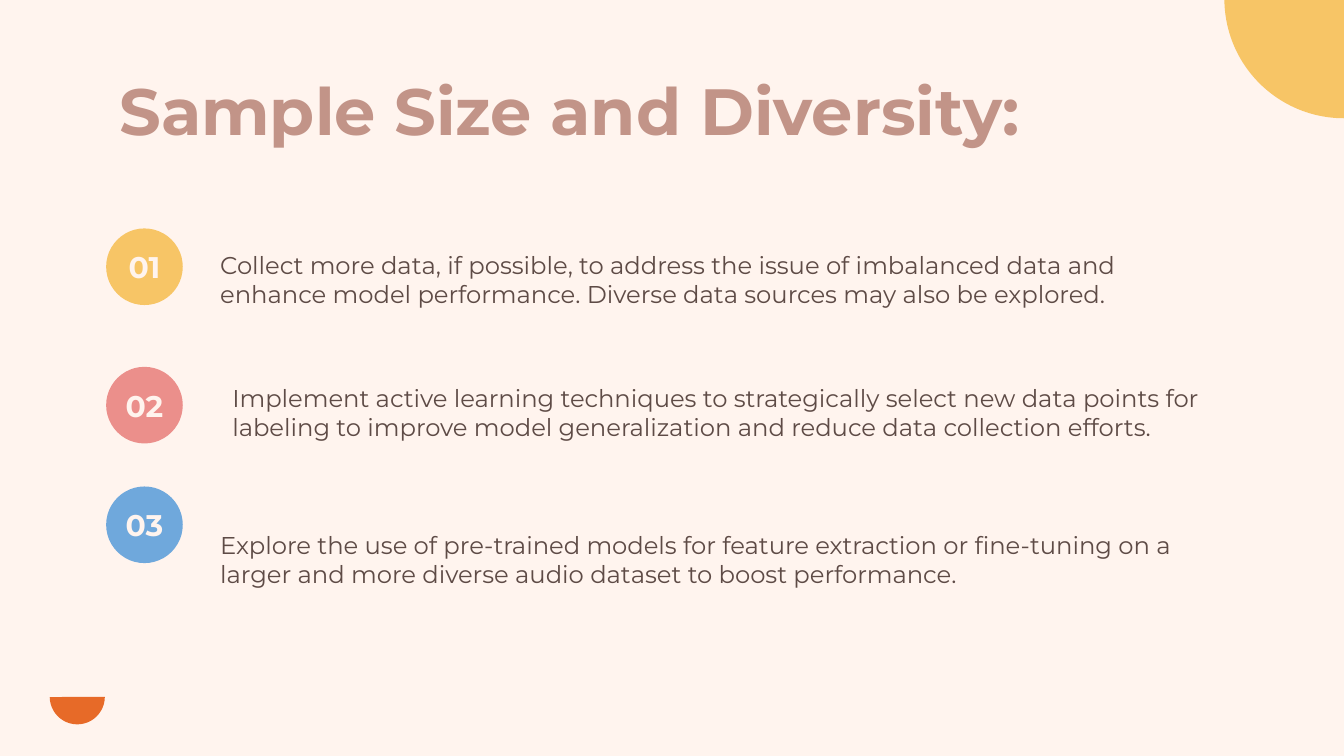
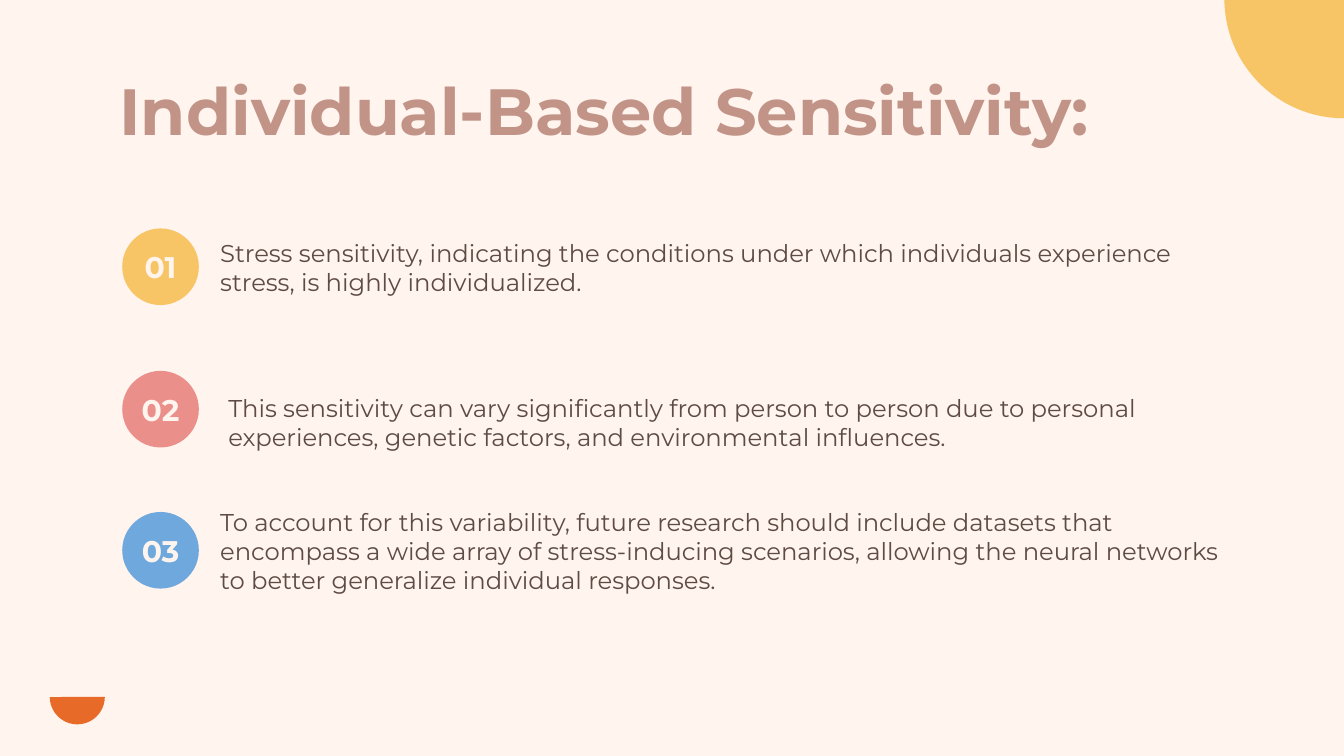
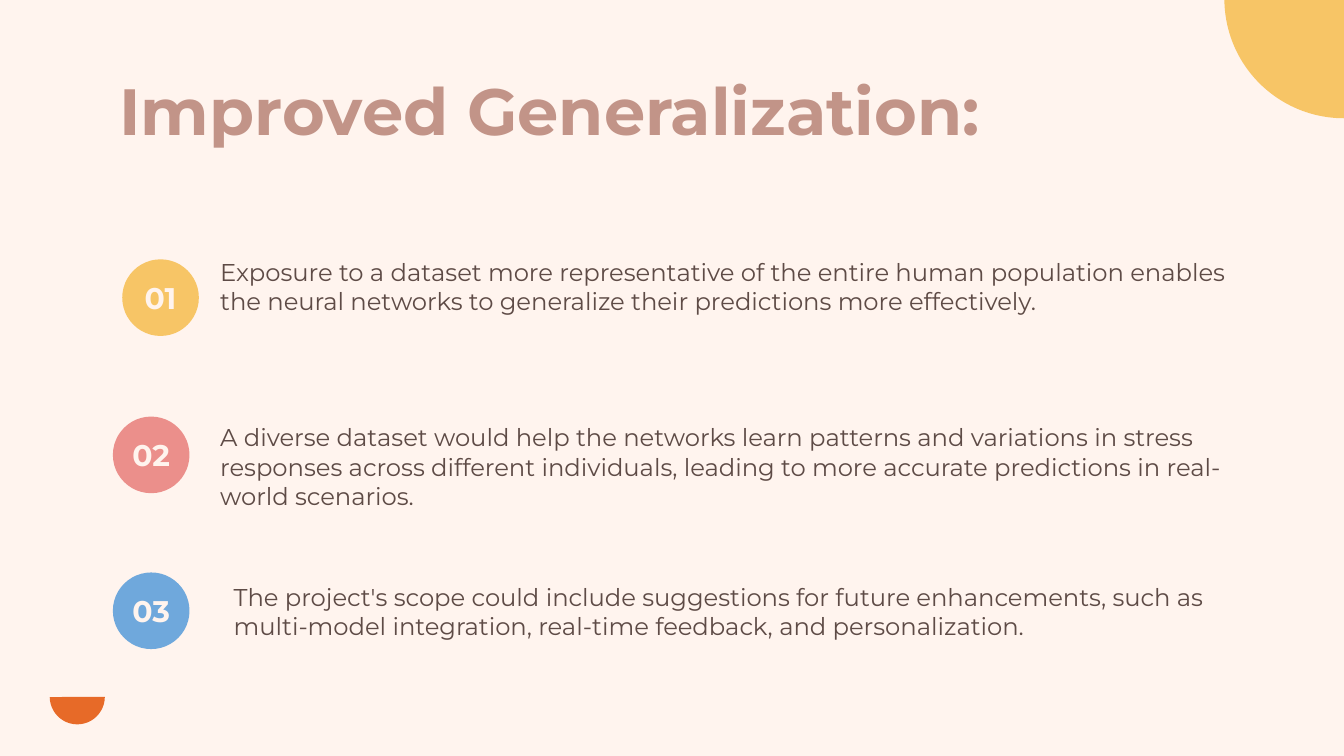
from pptx import Presentation
from pptx.dml.color import RGBColor
from pptx.enum.shapes import MSO_SHAPE
from pptx.enum.text import MSO_ANCHOR, PP_ALIGN
from pptx.util import Inches, Pt

PIE, CIRCLE = MSO_SHAPE.CHORD and MSO_SHAPE.PIE, MSO_SHAPE.OVAL
TOP, MIDDLE = MSO_ANCHOR.TOP, MSO_ANCHOR.MIDDLE
LEFT, CENTER = PP_ALIGN.LEFT, PP_ALIGN.CENTER

COLORS = {
    "background": "FFF4EE",
    "title": "C29488",
    "body": "5E4B46",
    "yellow": "F7C566",
    "pink": "EB8F8B",
    "blue": "6FA8DC",
    "orange": "E76A28",
}
FONT = "Montserrat"
BADGE_COLORS = ["yellow", "pink", "blue"]
TEXT_ROWS = [8.6, 10.8, 10.8]
TEXT_COLUMNS = 76.8
BADGE_SIZE = 5.7
QUARTER_TURN = 54

CORNERS = [
    ("yellow", 91.1, -9, 17.8, QUARTER_TURN, 2 * QUARTER_TURN),
    ("orange", 3.7, 49.8, 4.1, 0, 107.55),
]

# badge column, badge row, text column, text row, text
SLIDES = [
    ("Sample Size and Diversity:", [
        (7.9, 17, 15.4, 16.5, "Collect more data, if possible, to address the issue of imbalanced data and enhance model performance. Diverse data sources may also be explored."),
        (7.9, 27.3, 16.3, 25.3, "Implement active learning techniques to strategically select new data points for labeling to improve model generalization and reduce data collection efforts."),
        (7.9, 36.2, 15.4, 36.2, "Explore the use of pre-trained models for feature extraction or fine-tuning on a larger and more diverse audio dataset to boost performance."),
    ]),
    ("Individual-Based Sensitivity:", [
        (9.1, 17, 15.4, 15.6, "Stress sensitivity, indicating the conditions under which individuals experience stress, is highly individualized."),
        (9.1, 27.6, 16, 26, "This sensitivity can vary significantly from person to person due to personal experiences, genetic factors, and environmental influences."),
        (9.1, 38.1, 15.4, 35.6, "To account for this variability, future research should include datasets that encompass a wide array of stress-inducing scenarios, allowing the neural networks to better generalize individual responses."),
    ]),
    ("Improved Generalization:", [
        (9.1, 19.3, 15.4, 17, "Exposure to a dataset more representative of the entire human population enables the neural networks to generalize their predictions more effectively."),
        (8.4, 31, 15.4, 29.3, "A diverse dataset would help the networks learn patterns and variations in stress responses across different individuals, leading to more accurate predictions in real-world scenarios."),
        (8.4, 42.6, 16.4, 40.1, "The project's scope could include suggestions for future enhancements, such as multi-model integration, real-time feedback, and personalization."),
    ]),
]

deck = Presentation()
deck.slide_width = Inches(10)
deck.slide_height = deck.slide_width * 9 // 16
CELL = deck.slide_width // 100
blank = deck.slide_layouts[6]


def write(box, text, size, color, bold=False, align=LEFT, anchor=MIDDLE, inset=1, spacing=1.0):
    frame = box.text_frame
    frame.word_wrap = True
    frame.vertical_anchor = anchor
    frame.margin_left = frame.margin_right = int(inset * CELL)
    frame.margin_top = frame.margin_bottom = int(inset * CELL)
    para = frame.paragraphs[0]
    para.alignment = align
    para.line_spacing = spacing
    span = para.add_run()
    span.text = text
    span.font.name = FONT
    span.font.size = Pt(size)
    span.font.bold = bold
    span.font.color.rgb = RGBColor.from_string(COLORS[color])


def add_round(page, kind, color, column, row, size):
    shape = page.shapes.add_shape(kind, *(int(cells * CELL) for cells in (column, row, size, size)))
    shape.shadow.inherit = False
    shape.fill.solid()
    shape.fill.fore_color.rgb = RGBColor.from_string(COLORS[color])
    shape.line.fill.background()
    return shape


for title, points in SLIDES:
    page = deck.slides.add_slide(blank)
    page.background.fill.solid()
    page.background.fill.fore_color.rgb = RGBColor.from_string(COLORS["background"])

    for color, column, row, size, start, end in CORNERS:
        corner = add_round(page, PIE, color, column, row, size)
        corner.adjustments[0] = start
        corner.adjustments[1] = end

    title_box = page.shapes.add_textbox(*(int(cells * CELL) for cells in (7.9, 4.9, 84.3, 12.2)))
    write(title_box, title, size=35, color="title", bold=True, anchor=TOP, spacing=0.9)

    for index, (badge_column, badge_row, text_column, text_row, text) in enumerate(points):
        badge = add_round(page, CIRCLE, BADGE_COLORS[index], badge_column, badge_row, BADGE_SIZE)
        write(badge, f"{index + 1:02d}", size=16, color="background", bold=True, align=CENTER, inset=0)
        area = (text_column, text_row, TEXT_COLUMNS, TEXT_ROWS[index])
        text_box = page.shapes.add_textbox(*(int(cells * CELL) for cells in area))
        write(text_box, text, size=13, color="body")

deck.save("out.pptx")
